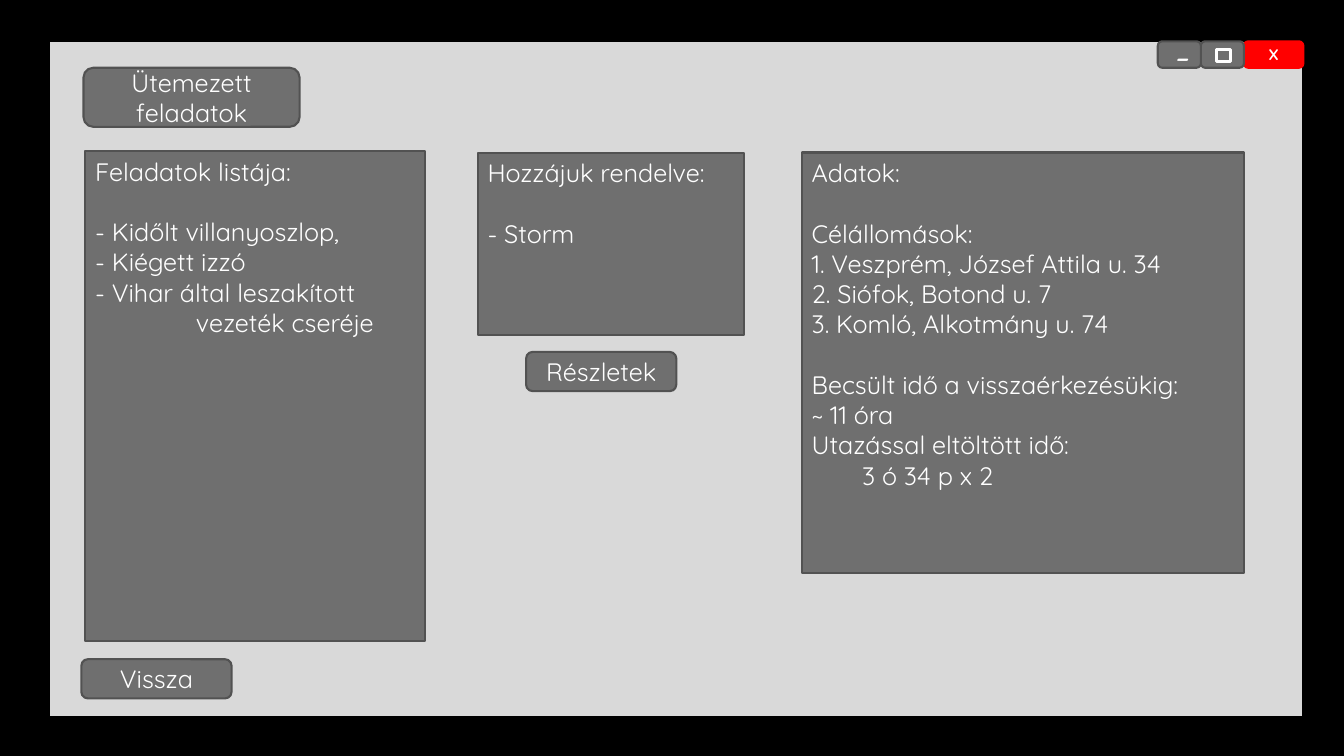
from dataclasses import dataclass

from pptx import Presentation
from pptx import util as u
from pptx.dml.color import RGBColor
from pptx.enum import shapes, text

RECT = shapes.MSO_SHAPE.RECTANGLE
ROUNDED = shapes.MSO_SHAPE.ROUNDED_RECTANGLE


@dataclass(frozen=True)
class Theme:
    font: str = "Quicksand"
    backdrop: str = "000000"
    window: str = "D9D9D9"
    panel: str = "6F6F6F"
    outline: str = "525252"
    close: str = "FF0000"
    white: str = "FFFFFF"
    body_size: float = 18
    close_size: float = 11
    minimize_size: float = 28
    line_height: float = 21.6


theme = Theme()

presentation = Presentation()
presentation.slide_width = u.Pt(960)
presentation.slide_height = u.Pt(540)
slide = presentation.slides.add_slide(presentation.slide_layouts[6])
slide.background.fill.solid()
slide.background.fill.fore_color.rgb = RGBColor.from_string(theme.backdrop)


def add_box(kind, box, fill=theme.panel, line=theme.outline, line_width=1.5):
    shape = slide.shapes.add_shape(kind, *(u.Pt(length) for length in box))
    shape.shadow.inherit = False
    shape.fill.solid()
    shape.fill.fore_color.rgb = RGBColor.from_string(fill)
    shape.line.color.rgb = RGBColor.from_string(line)
    shape.line.width = u.Pt(line_width)
    return shape


def write(paragraph, words, size=theme.body_size, align=text.PP_ALIGN.CENTER):
    paragraph.text = words
    paragraph.alignment = align
    paragraph.font.name = theme.font
    paragraph.font.size = u.Pt(size)
    paragraph.font.color.rgb = RGBColor.from_string(theme.white)
    return paragraph


# Window and its title-bar buttons
add_box(RECT, (35.3, 29.5, 895.7, 482.4), theme.window, theme.backdrop)

close = add_box(ROUNDED, (888.5, 29.5, 42.5, 18.9), theme.close, theme.close)
write(close.text_frame.paragraphs[0], "X", theme.close_size).font.bold = True

add_box(ROUNDED, (857.7, 29.5, 30.8, 18.9))
minimize = add_box(ROUNDED, (827, 29.5, 30.8, 18.9))
write(minimize.text_frame.paragraphs[0], "-", theme.minimize_size).font.italic = True
add_box(RECT, (869, 35.2, 10, 9), line=theme.white, line_width=2.25)

# Buttons
buttons = [
    ("Ütemezett feladatok", (59.6, 48.4, 154.4, 42.2)),
    ("Vissza", (58.1, 470.9, 107.3, 28)),
    ("Részletek", (375.8, 251.4, 107.3, 28)),
]
for label, box in buttons:
    button = add_box(ROUNDED, box)
    write(button.text_frame.paragraphs[0], label)

# Panels: each holds blocks, set one line apart, of (line, left indent)
panels = [
    ((60.9, 107.9, 243, 350), [
        [("Feladatok listája:", 0)],
        [("- Kidőlt villanyoszlop,", 0), ("- Kiégett izzó", 0),
         ("- Vihar által leszakított", 0), ("vezeték cseréje", 72)],
    ]),
    ((341.2, 109, 190.5, 130.3), [
        [("Hozzájuk rendelve:", 0)],
        [("- Storm", 0)],
    ]),
    ((572.7, 109, 316, 300.2), [
        [("Adatok:", 0)],
        [("Célállomások:", 0), ("1. Veszprém, József Attila u. 34", 0),
         ("2. Siófok, Botond u. 7", 0), ("3. Komló, Alkotmány u. 74", 0)],
        [("Becsült idő a visszaérkezésükig:", 0), ("~ 11 óra", 0),
         ("Utazással eltöltött idő:", 0), ("3 ó 34 p x 2", 36)],
    ]),
]
for box, blocks in panels:
    frame = add_box(RECT, box).text_frame
    frame.word_wrap = True
    frame.vertical_anchor = text.MSO_ANCHOR.TOP
    paragraph = frame.paragraphs[0]
    for block_index, block in enumerate(blocks):
        for line_index, (words, indent) in enumerate(block):
            if block_index or line_index:
                paragraph = frame.add_paragraph()
            write(paragraph, words, align=text.PP_ALIGN.LEFT)
            if block_index and not line_index:
                paragraph.space_before = u.Pt(theme.line_height)
            if indent:
                paragraph._p.get_or_add_pPr().set("marL", str(u.Pt(indent)))

presentation.save("out.pptx")
